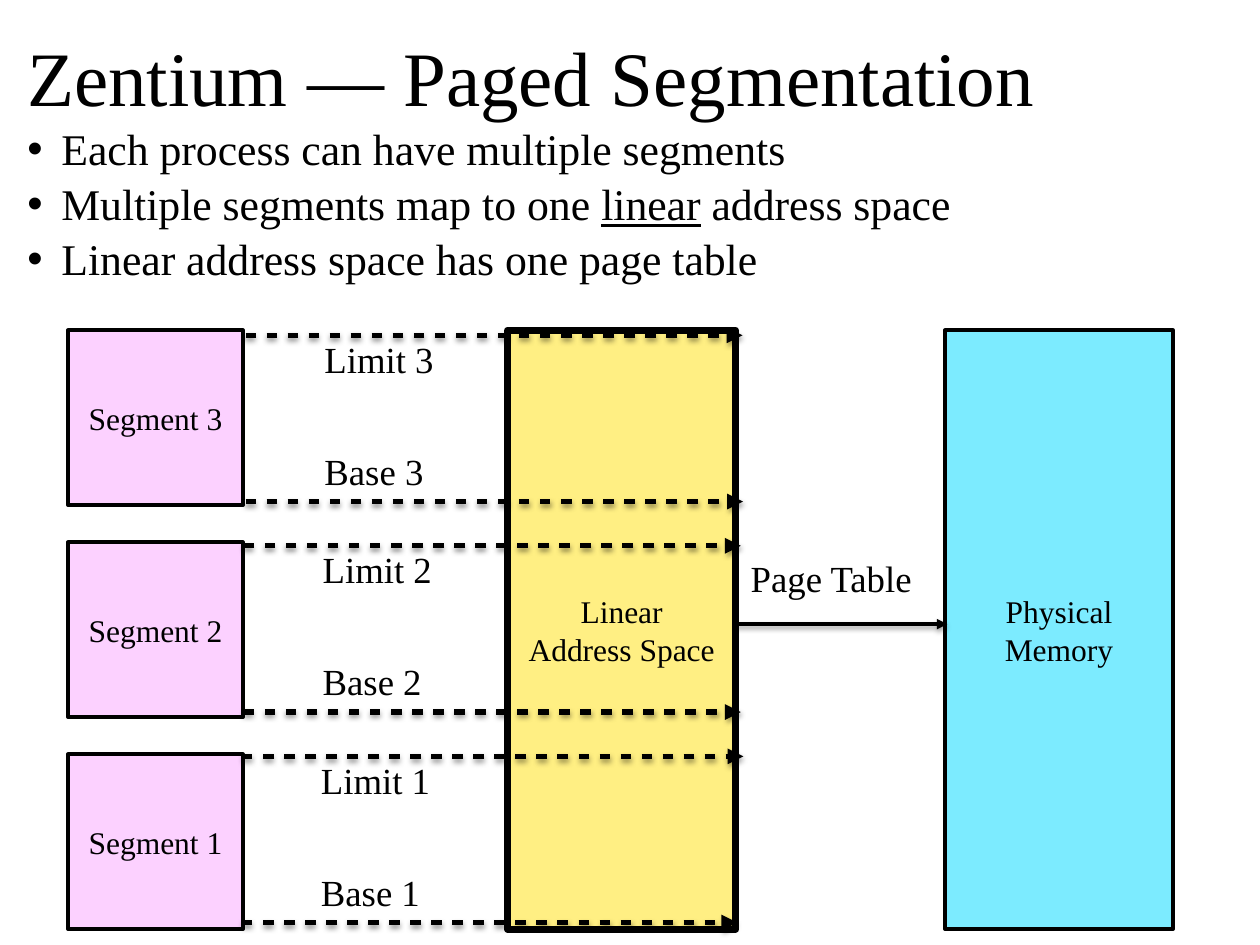
from dataclasses import dataclass

from lxml import etree
from pptx import Presentation
from pptx.dml.color import RGBColor
from pptx.enum.shapes import MSO_CONNECTOR, MSO_SHAPE
from pptx.enum.text import MSO_ANCHOR, MSO_AUTO_SIZE, PP_ALIGN
from pptx.oxml import parse_xml
from pptx.oxml.ns import qn
from pptx.util import Pt

A_NS = 'xmlns:a="http://schemas.openxmlformats.org/drawingml/2006/main"'
SHADOW = (
    f'<a:effectLst {A_NS}><a:outerShdw blurRad="38100" dist="20320" dir="5400000" '
    'rotWithShape="0"><a:srgbClr val="000000"><a:alpha val="38000"/></a:srgbClr>'
    '</a:outerShdw></a:effectLst>')
DASH = f'<a:custDash {A_NS}><a:ds d="200000" sp="200000"/></a:custDash>'


@dataclass(frozen=True)
class Theme:
    font: str = "Times New Roman"
    ink: str = "000000"
    segment: str = "FCD1FF"
    linear: str = "FFEF83"
    physical: str = "7CEBFF"
    title: int = 44
    body: int = 25
    label: int = 21
    box: int = 18


T = Theme()


def rgb(value):
    return RGBColor.from_string(value)


def add_run(p, text, size, underline=None):
    r = p.add_run()
    r.text = text
    r.font.name = T.font
    r.font.size = Pt(size)
    r.font.color.rgb = rgb(T.ink)
    r.font.underline = underline


def set_frame(tf, anchor, wrap=True):
    tf.margin_left = tf.margin_right = tf.margin_top = tf.margin_bottom = Pt(3.6)
    tf.vertical_anchor = anchor
    tf.word_wrap = wrap


def add_text(s, box, anchor=MSO_ANCHOR.TOP, wrap=True):
    tf = s.shapes.add_textbox(*map(Pt, box)).text_frame
    set_frame(tf, anchor, wrap)
    return tf


def add_label(s, box, text):
    tf = add_text(s, box, wrap=False)
    tf.auto_size = MSO_AUTO_SIZE.SHAPE_TO_FIT_TEXT
    add_run(tf.paragraphs[0], text, T.label)


def add_box(s, box, lines, fill, weight=2):
    sp = s.shapes.add_shape(MSO_SHAPE.RECTANGLE, *map(Pt, box))
    sp.shadow.inherit = False
    sp.fill.solid()
    sp.fill.fore_color.rgb = rgb(fill)
    sp.line.color.rgb = rgb(T.ink)
    sp.line.width = Pt(weight)
    etree.SubElement(sp.line._get_or_add_ln(), qn("a:round"))
    tf = sp.text_frame
    set_frame(tf, MSO_ANCHOR.MIDDLE)
    for i, text in enumerate(lines):
        p = tf.add_paragraph() if i else tf.paragraphs[0]
        p.alignment = PP_ALIGN.CENTER
        add_run(p, text, T.box)


def add_arrow(s, x1, x2, y, weight, dashed=False):
    """Horizontal arrow with a soft shadow below it."""
    line = s.shapes.add_connector(MSO_CONNECTOR.STRAIGHT, Pt(x1), Pt(y), Pt(x2), Pt(y))
    line.line.color.rgb = rgb(T.ink)
    line.line.width = Pt(weight)
    ln = line.line._get_or_add_ln()
    if dashed:
        ln.append(parse_xml(DASH))
    etree.SubElement(ln, qn("a:tailEnd"), type="triangle")
    line._element.spPr.append(parse_xml(SHADOW))


def add_title(s, box, text):
    tf = add_text(s, box, MSO_ANCHOR.BOTTOM)
    add_run(tf.paragraphs[0], text, T.title)


def add_bullets(s, box, items):
    """Each item is a list of (text, underlined) runs."""
    tf = add_text(s, box)
    for i, item in enumerate(items):
        p = tf.add_paragraph() if i else tf.paragraphs[0]
        pPr = p._p.get_or_add_pPr()
        pPr.set("marL", str(Pt(19.5)))
        pPr.set("indent", str(-Pt(19.5)))
        etree.SubElement(pPr, qn("a:buFont"), typeface="Arial")
        etree.SubElement(pPr, qn("a:buChar"), char="•")
        p.line_spacing = 1.05
        for text, underlined in item:
            add_run(p, text, T.body, underlined or None)


def add_mapping(s, box, number, limit_end, base_end):
    """Limit and base arrows of one segment, with their labels inside."""
    left, top, width, height = box
    add_arrow(s, left, left + limit_end, top, 3, dashed=True)
    add_arrow(s, left, left + base_end, top + height, 3, dashed=True)
    add_label(s, (left + 41.5, top - 2.9, 75.6, 31), f"Limit {number}")
    add_label(s, (left + 41.5, top + 61.2, 65, 31), f"Base {number}")


def add_memory_map(s, box):
    left, top, width, height = box
    side, linear_w = 100, 130.3
    step = (height - side) / 2
    linear_x, physical_x = left + 251.2, left + width - linear_w

    for row in range(3):
        add_box(s, (left, top + row * step, side, side), [f"Segment {3 - row}"], T.segment)
    add_box(s, (linear_x, top, linear_w, height), ["Linear", "Address Space"],
            T.linear, weight=4)
    add_box(s, (physical_x, top, linear_w, height), ["Physical", "Memory"], T.physical)

    middle = top + height / 2 - 3.2
    add_arrow(s, linear_x + linear_w, physical_x + 1.4, middle, 2)
    add_label(s, (linear_x + linear_w + 5, middle - 42.5, 100, 31), "Page Table")

    ends = [(284, 284.3), (284, 284), (286.5, 283)]
    for row, (limit_end, base_end) in enumerate(ends):
        mapping = (left + 101.4 - row, top + 2.9 + row * 120.3, 284, 95)
        add_mapping(s, mapping, 3 - row, limit_end, base_end)


def main():
    prs = Presentation()
    prs.slide_width, prs.slide_height = Pt(720), Pt(540)
    s = prs.slides.add_slide(prs.slide_layouts[6])
    add_bullets(s, (12, 64.6, 708, 108), [
        [("Each process can have multiple segments", False)],
        [("Multiple segments map to one ", False), ("linear", True),
         (" address space", False)],
        [("Linear address space has one page table", False)],
    ])
    add_title(s, (12, 0, 708, 73.4), "Zentium — Paged Segmentation")
    add_memory_map(s, (38.9, 188.7, 631.4, 342.3))
    prs.save("out.pptx")


if __name__ == "__main__":
    main()
